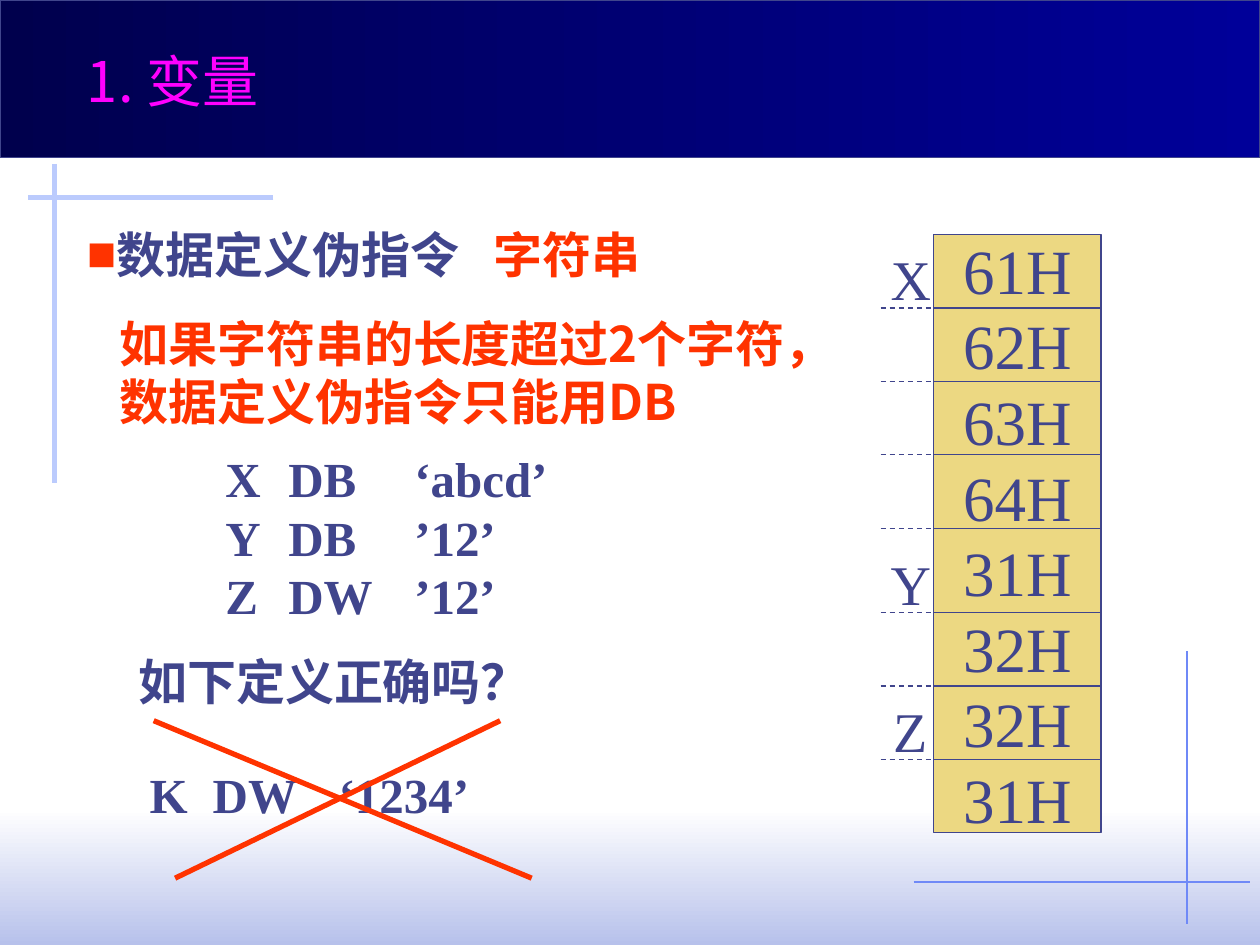
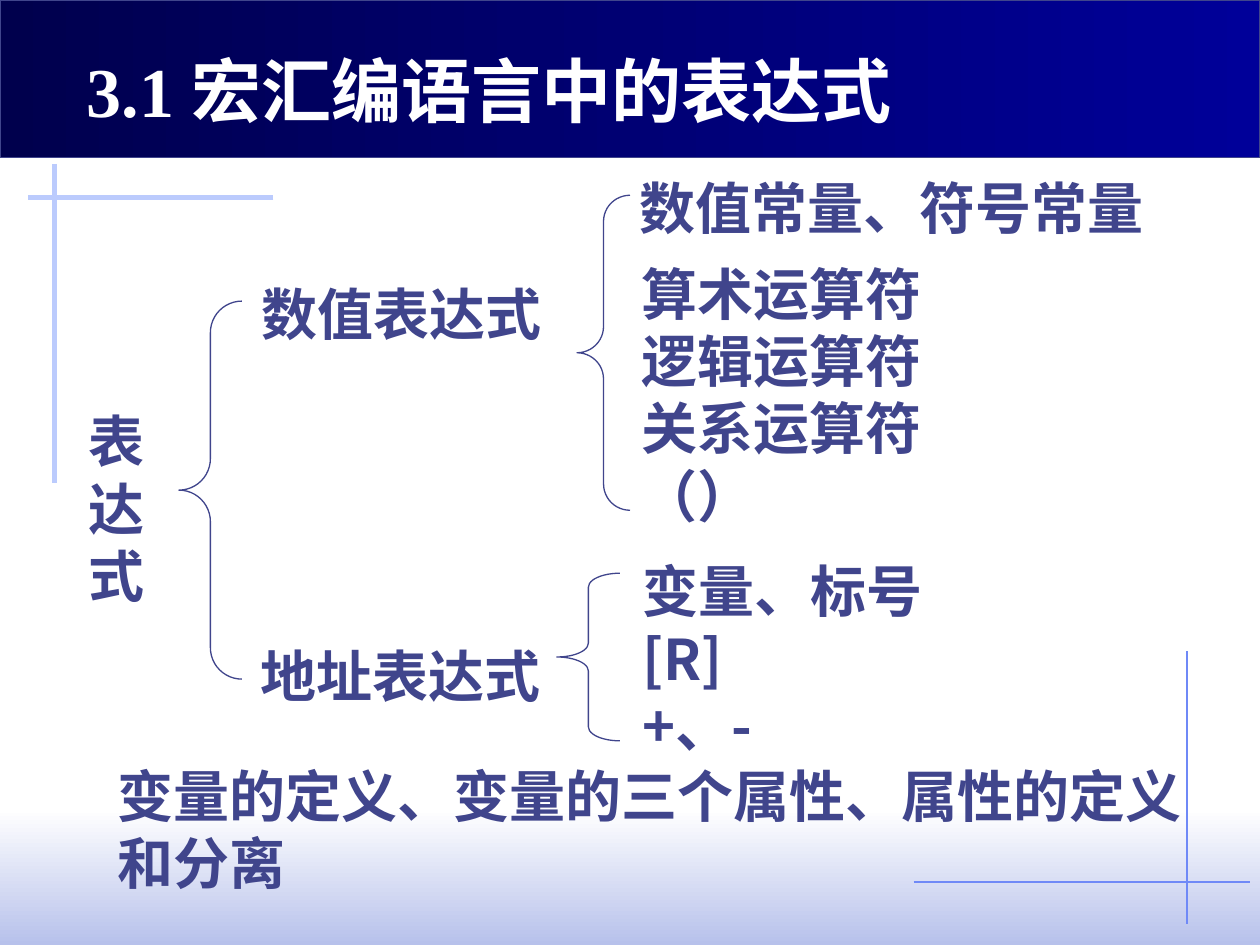
from itertools import accumulate
from typing import NamedTuple

from lxml.etree import SubElement
from pptx import Presentation
from pptx.dml.color import RGBColor
from pptx.enum.dml import MSO_LINE
from pptx.enum.shapes import MSO_CONNECTOR, MSO_SHAPE
from pptx.enum.text import MSO_ANCHOR, MSO_AUTO_SIZE, PP_ALIGN
from pptx.oxml.ns import qn
from pptx.shapes.autoshape import Shape
from pptx.slide import Slide
from pptx.util import Inches, Length, Pt

HUES = {
    "ink": "40458C", "red": "FF3300", "pink": "FF00FF", "white": "FFFFFF",
    "night": "00004D", "navy": "000099", "mist": "B7C1EB",
    "pale": "BBCBFD", "sky": "6F89F7", "sand": "ECD882",
}
SERIF, SANS, SANSJP = "Times New Roman", "Noto Sans CJK SC", "Noto Sans CJK JP"
COLS, ROWS = 100, 75
LEAD = 1.2


class Box(NamedTuple):
    """A frame in grid columns and rows."""
    x: float
    y: float
    w: float
    h: float


class Rule(NamedTuple):
    """A straight line between two grid points."""
    x1: float
    y1: float
    x2: float
    y2: float
    hue: str = "ink"
    width: float = 0.75
    dash: bool = False


class Look(NamedTuple):
    """The style of a text."""
    size: int
    font: str = SERIF
    hue: str = "ink"
    bold: bool = True
    align: PP_ALIGN = PP_ALIGN.LEFT


class Line(NamedTuple):
    """A paragraph: its runs as text and hue, its tabs and bullet."""
    runs: tuple[tuple[str, str], ...]
    tabs: tuple[float, ...] = ()
    mark: str = ""


class Note(NamedTuple):
    """A framed text."""
    box: Box
    look: Look
    lines: tuple[str | Line, ...]


CODE = Look(28)
TERM = Look(32, SANS)
TAG = Look(32, bold=False)
CELL = Look(36, bold=False, align=PP_ALIGN.CENTER)

DECOR = (
    Rule(94.2, 51.7, 94.2, 73.3, "sky"),
    Rule(72.5, 70, 99.2, 70, "sky"),
    Rule(21.7, 15.7, 2.2, 15.7, "pale", 3),
    Rule(4.3, 13, 4.3, 38.3, "pale", 3),
)
CROSS = (
    Rule(12.2, 57.2, 42.2, 69.7, "red", 3),
    Rule(13.9, 69.7, 39.7, 57.2, "red", 3),
)
STACK = Box(74.1, 18.6, 13.3, 47.5)
BYTES = ("61H", "62H", "63H", "64H", "31H", "32H", "32H", "31H")
PARTS = (7, 7, 7, 7, 8, 7, 7, 7)
STUB = 4.2

HEAD1 = Note(Box(5.9, 2.8, 40, 6.4), Look(32, SANS, "pink", False), ("1. 变量",))
LIST1 = Note(Box(5.9, 17, 50.4, 5.7), CODE, (
    Line((("数据定义伪指令", "ink"), ("\t字符串", "red")), (3.23,), "■"),))
NOTES1 = (
    Note(Box(8.5, 24, 55.7, 10.4), Look(28, SANSJP, "red"),
         ("如果字符串的长度超过2个字符，数据定义伪指令只能用DB",)),
    Note(Box(16.9, 35.1, 28, 15), CODE, (
        Line((("X\tDB\t‘abcd’", "ink"),), (0.47, 1.21)),
        Line((("Y\tDB\t’12’", "ink"),), (0.45, 1.19)),
        Line((("Z\tDW\t’12’", "ink"),), (0.45, 1.31)))),
    Note(Box(10, 50.9, 36, 5.7), CODE, ("如下定义正确吗？",)),
    Note(Box(10.9, 60.2, 30, 5.7), CODE,
         (Line((("K\tDW\t‘1234’", "ink"),), (0.6, 1.45)),)),
    Note(Box(69.7, 18.9, 5.2, 6.4), TAG, ("X",)),
    Note(Box(69.7, 43.1, 5.2, 6.4), TAG, ("Y",)),
    Note(Box(69.9, 54.8, 4.7, 6.4), TAG, ("Z",)),
)

HEAD2 = Note(Box(5.9, 2.8, 78.2, 7.7), Look(40, hue="white"),
             ("3.1 宏汇编语言中的表达式",))
LIST2 = Note(Box(8.3, 59.5, 88.1, 11.7), TERM,
             ("变量的定义、变量的三个属性、属性的定义和分离",))
NOTES2 = (
    Note(Box(6, 31.4, 6.5, 17), TERM, ("表", "达", "式")),
    Note(Box(19.8, 21.3, 25.5, 6.4), TERM, ("数值表达式",)),
    Note(Box(19.7, 50, 25.5, 6.4), TERM, ("地址表达式",)),
    Note(Box(49.8, 12.9, 43, 6.4), TERM, ("数值常量、符号常量",)),
    Note(Box(49.9, 19.7, 26, 22.4), TERM,
         ("算术运算符", "逻辑运算符", "关系运算符", "（）")),
    Note(Box(50, 43.3, 26.8, 17), TERM, ("变量、标号", "[R]", "+、-")),
)
BRACES = (
    Box(14.2, 23.9, 5, 30),
    Box(45.8, 15.5, 4.2, 25),
    Box(44.2, 45.5, 5, 13.3),
)


def unit(size: float) -> Length:
    """Turn grid columns or rows into a length."""
    return Inches(size / 10)


def tint(name: str) -> RGBColor:
    """Look up a colour by name."""
    return RGBColor.from_string(HUES[name])


def place(box: Box) -> tuple[Length, ...]:
    """Turn a frame into lengths."""
    return tuple(unit(side) for side in box)


def has_han(text: str) -> bool:
    """Tell whether a text holds Chinese signs."""
    return any(sign > "⺀" for sign in text)


def write(shape: Shape, look: Look, lines: tuple[str | Line, ...],
          anchor: MSO_ANCHOR = MSO_ANCHOR.TOP) -> None:
    """Fill a shape with styled paragraphs."""
    frame = shape.text_frame
    frame.word_wrap = True
    frame.auto_size = MSO_AUTO_SIZE.NONE
    frame.vertical_anchor = anchor
    frame.margin_left = frame.margin_right = unit(1)
    rows = [row if isinstance(row, Line) else Line(((row, look.hue),))
            for row in lines]
    han = any(has_han(text) for row in rows for text, _ in row.runs)
    frame.margin_top = unit(0.5 + (look.size / 80 if han else 0))
    frame.margin_bottom = unit(0.5)
    for rank, row in enumerate(rows):
        para = frame.add_paragraph() if rank else frame.paragraphs[0]
        props = para._p.get_or_add_pPr()
        props.set("marL", "0")
        props.set("indent", "0")
        if row.mark:
            shade = SubElement(props, qn("a:buClr"))
            SubElement(shade, qn("a:srgbClr"), val=HUES["red"])
            SubElement(props, qn("a:buFont"), typeface=SERIF)
            SubElement(props, qn("a:buChar"), char=row.mark)
        else:
            SubElement(props, qn("a:buNone"))
        if row.tabs:
            stops = SubElement(props, qn("a:tabLst"))
            for stop in row.tabs:
                SubElement(stops, qn("a:tab"), pos=str(Inches(stop)), algn="l")
        para.alignment = look.align
        para.space_before = Pt(0)
        para.line_spacing = Pt(look.size * LEAD)
        for text, hue in row.runs:
            run = para.add_run()
            run.text = text
            run.font.size = Pt(look.size)
            run.font.bold = look.bold
            run.font.color.rgb = tint(hue)
            run.font.name = look.font
            east = SANS if look.font == SERIF and has_han(text) else look.font
            SubElement(run._r.get_or_add_rPr(), qn("a:ea"), typeface=east)


def draw(slide: Slide, rule: Rule) -> None:
    """Draw a line."""
    ends = (unit(end) for end in rule[:4])
    line = slide.shapes.add_connector(MSO_CONNECTOR.STRAIGHT, *ends)
    line.line.color.rgb = tint(rule.hue)
    line.line.width = Pt(rule.width)
    if rule.dash:
        line.line.dash_style = MSO_LINE.DASH
    SubElement(line.element.spPr, qn("a:effectLst"))


def form(slide: Slide, kind: MSO_SHAPE, box: Box, edge: bool = True) -> Shape:
    """Add an unfilled shape, with or without an outline."""
    shape = slide.shapes.add_shape(kind, *place(box))
    shape.shadow.inherit = False
    shape.fill.background()
    if edge:
        shape.line.color.rgb = tint("ink")
        shape.line.width = Pt(0.75)
    else:
        shape.line.fill.background()
    return shape


def blend(shape: Shape, start: str, end: str, angle: int) -> None:
    """Fill a shape with a two-colour gradient."""
    shape.fill.gradient()
    shape.fill.gradient_angle = angle
    for rank, (stop, hue) in enumerate(zip(shape.fill.gradient_stops, (start, end))):
        stop.color.rgb = tint(hue)
        stop.position = rank


def base(deck: Presentation, head: Note, body: Note) -> Slide:
    """Add a slide with the shared decor, a title and a body."""
    slide = deck.slides.add_slide(deck.slide_layouts[1])
    glow = form(slide, MSO_SHAPE.RECTANGLE, Box(0, 64.2, COLS, 10.8), False)
    blend(glow, "white", "mist", 270)
    band = form(slide, MSO_SHAPE.RECTANGLE, Box(0, 0, COLS, 12.5))
    blend(band, "night", "navy", 0)
    for rule in DECOR:
        draw(slide, rule)
    for holder, note in zip(slide.placeholders, (head, body)):
        holder.left, holder.top, holder.width, holder.height = place(note.box)
        write(holder, note.look, note.lines)
        holder.element.getparent().append(holder.element)
    return slide


def label(slide: Slide, notes: tuple[Note, ...]) -> None:
    """Add text boxes."""
    for note in notes:
        write(slide.shapes.add_textbox(*place(note.box)), note.look, note.lines)


def stack(slide: Slide) -> None:
    """Draw the memory cells and their marks."""
    cells = form(slide, MSO_SHAPE.RECTANGLE, STACK)
    cells.fill.solid()
    cells.fill.fore_color.rgb = tint("sand")
    write(cells, CELL, BYTES, MSO_ANCHOR.MIDDLE)
    for part in accumulate(PARTS[:-1]):
        y = STACK.y + STACK.h * part / sum(PARTS)
        draw(slide, Rule(STACK.x, y, STACK.x + STACK.w, y))
        draw(slide, Rule(STACK.x - STUB, y, STACK.x, y, dash=True))


def main() -> None:
    """Build both slides and save them."""
    deck = Presentation()
    deck.slide_width, deck.slide_height = unit(COLS), unit(ROWS)
    data = base(deck, HEAD1, LIST1)
    stack(data)
    label(data, NOTES1)
    for rule in CROSS:
        draw(data, rule)
    tree = base(deck, HEAD2, LIST2)
    label(tree, NOTES2)
    for box in BRACES:
        brace = form(tree, MSO_SHAPE.LEFT_BRACE, box)
        brace.adjustments[0] = box.h / box.w / 12
    deck.save("out.pptx")


if __name__ == "__main__":
    main()
